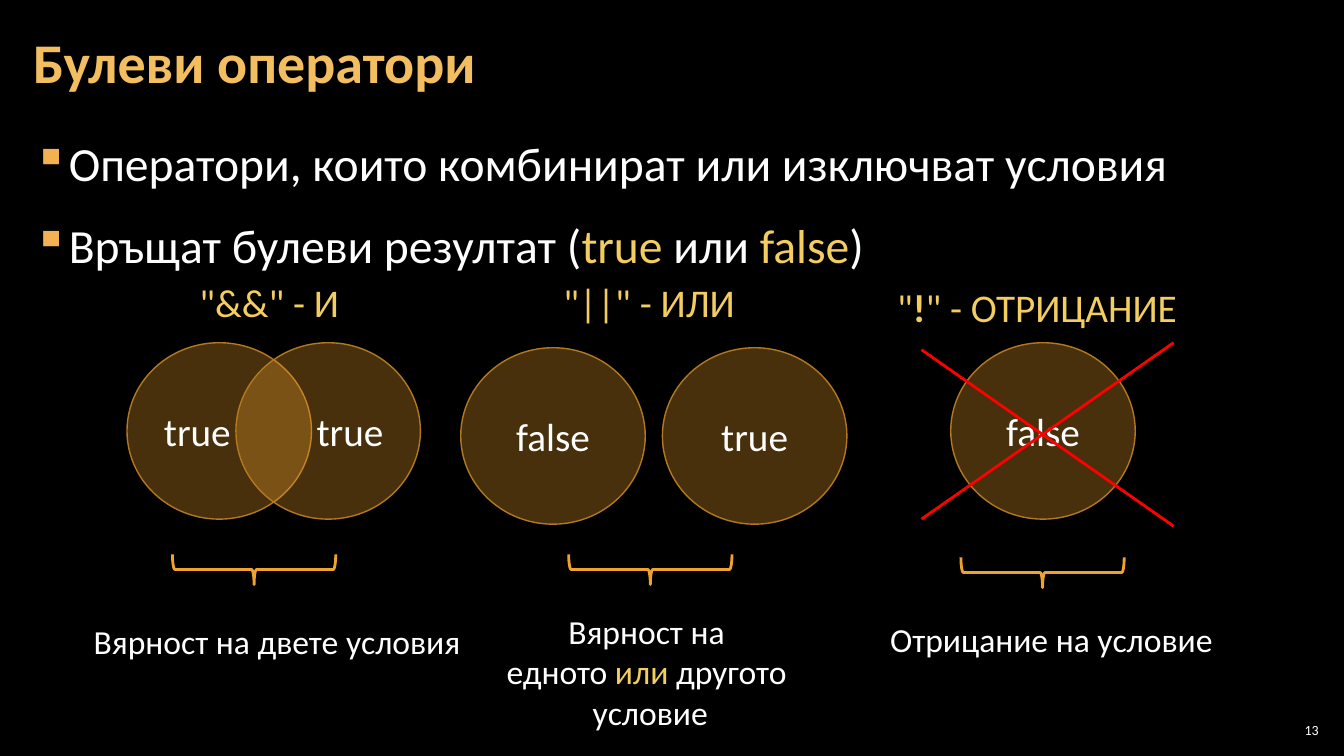
from dataclasses import dataclass

from lxml import etree
from pptx import Presentation
from pptx.dml.color import RGBColor
from pptx.enum.shapes import MSO_CONNECTOR, MSO_SHAPE
from pptx.enum.text import MSO_ANCHOR, MSO_AUTO_SIZE, PP_ALIGN
from pptx.oxml.ns import qn
from pptx.slide import Slide
from pptx.text.text import TextFrame
from pptx.util import Inches, Pt

LEFT, CENTER, RIGHT = PP_ALIGN.LEFT, PP_ALIGN.CENTER, PP_ALIGN.RIGHT
TOP, MIDDLE = MSO_ANCHOR.TOP, MSO_ANCHOR.MIDDLE
FIT = MSO_AUTO_SIZE.SHAPE_TO_FIT_TEXT
OVAL, BRACE = MSO_SHAPE.OVAL, MSO_SHAPE.RIGHT_BRACE
STRAIGHT = MSO_CONNECTOR.STRAIGHT

BLACK = RGBColor(0x00, 0x00, 0x00)
WHITE = RGBColor(0xFF, 0xFF, 0xFF)
RED = RGBColor(0xFF, 0x00, 0x00)
TITLE_GOLD = RGBColor(0xF3, 0xBE, 0x60)
YELLOW = RGBColor(0xF3, 0xCD, 0x60)
ORANGE = RGBColor(0xF0, 0xA2, 0x2E)
BROWN = RGBColor(0xB2, 0x78, 0x22)
BULLET_COLOR = "F2B254"

FONT = "Calibri"
CIRCLE_WIDTH, CIRCLE_HEIGHT = 1.83, 1.75
BRACE_WIDTH, BRACE_HEIGHT = 0.3, 1.62


@dataclass(frozen=True)
class Span:
    text: str
    color: RGBColor = WHITE
    bold: bool = False


Lines = list[list[Span]]


@dataclass(frozen=True)
class Label:
    left: float
    top: float
    width: float
    height: float
    size: int
    lines: Lines
    align: PP_ALIGN = LEFT


@dataclass(frozen=True)
class Circle:
    left: float
    top: float
    word: str
    align: PP_ALIGN = CENTER


@dataclass(frozen=True)
class Place:
    left: float
    top: float


@dataclass(frozen=True)
class Stroke:
    start_y: float
    end_y: float


BULLETS: Lines = [
    [Span("Оператори, които комбинират или изключват условия")],
    [Span("Връщат булеви резултат ("), Span("true", YELLOW), Span(" или "),
     Span("false", YELLOW), Span(")")],
]
CIRCLES = [
    Circle(1.26, 3.4, "true", LEFT),
    Circle(2.34, 3.4, "true", RIGHT),
    Circle(4.57, 3.45, "false"),
    Circle(6.57, 3.45, "true"),
    Circle(9.43, 3.4, "false"),
]
LABELS = [
    Label(1.88, 2.71, 1.61, 0.57, 28, [[Span('"&&" - И', YELLOW)]]),
    Label(5.49, 2.71, 1.92, 0.57, 28, [[Span('"||" - ИЛИ', YELLOW)]]),
    Label(8.8, 2.76, 3.1, 0.57, 28,
          [[Span('"', YELLOW), Span("!", YELLOW, True), Span('" - ОТРИЦАНИЕ', YELLOW)]]),
    Label(0.83, 6.11, 3.87, 0.5, 24, [[Span("Вярност на двете условия")]]),
    Label(4.91, 6.01, 3.08, 1.31, 24,
          [[Span("Вярност на ")],
           [Span("едното "), Span("или", YELLOW), Span(" другото ")],
           [Span("условие")]], CENTER),
    Label(8.73, 6.09, 3.44, 0.5, 24, [[Span("Отрицание на условие")]]),
]
BRACES = [Place(2.37, 4.84), Place(6.3, 4.84), Place(10.19, 4.87)]
CROSS_RIGHT, CROSS_LEFT = 11.64, 9.14
CROSS = [Stroke(3.4, 5.15), Stroke(5.22, 3.47)]


def write(frame: TextFrame, lines: Lines, size: int, align: PP_ALIGN = LEFT) -> None:
    for index, line in enumerate(lines):
        para = frame.add_paragraph() if index else frame.paragraphs[0]
        para.alignment = align
        for span in line:
            run = para.add_run()
            run.text = span.text
            run.font.name = FONT
            run.font.size = Pt(size)
            run.font.bold = span.bold
            run.font.color.rgb = span.color


def add_frame(page: Slide, left: float, top: float, width: float, height: float,
              side: float, anchor: MSO_ANCHOR = TOP) -> TextFrame:
    box = page.shapes.add_textbox(Inches(left), Inches(top), Inches(width), Inches(height))
    frame = box.text_frame
    frame.word_wrap = True
    frame.vertical_anchor = anchor
    frame.margin_left = frame.margin_right = Inches(side)
    frame.margin_top = frame.margin_bottom = Inches(0.04)
    return frame


def add_bullets(frame: TextFrame) -> None:
    for para in frame.paragraphs:
        para.line_spacing = 1.15
        para.space_before = para.space_after = Pt(6)
        props = para._p.get_or_add_pPr()
        props.set("marL", str(Inches(0.33)))
        props.set("indent", str(Inches(-0.33)))
        color = etree.SubElement(props, qn("a:buClr"))
        etree.SubElement(color, qn("a:srgbClr"), val=BULLET_COLOR)
        etree.SubElement(props, qn("a:buChar"), char="▪")


def add_label(page: Slide, label: Label) -> None:
    box = page.shapes.add_textbox(Inches(label.left), Inches(label.top),
                                  Inches(label.width), Inches(label.height))
    box.text_frame.word_wrap = False
    box.text_frame.auto_size = FIT
    write(box.text_frame, label.lines, label.size, label.align)


def add_circle(page: Slide, circle: Circle) -> None:
    oval = page.shapes.add_shape(OVAL, Inches(circle.left), Inches(circle.top),
                                 Inches(CIRCLE_WIDTH), Inches(CIRCLE_HEIGHT))
    oval.shadow.inherit = False
    oval.fill.solid()
    oval.fill.fore_color.rgb = ORANGE
    tint = oval._element.spPr.find(qn("a:solidFill")).find(qn("a:srgbClr"))
    etree.SubElement(tint, qn("a:alpha"), val="30000")
    oval.line.color.rgb = BROWN
    oval.line.width = Pt(1)
    oval.text_frame.vertical_anchor = MIDDLE
    write(oval.text_frame, [[Span(circle.word)]], 28, circle.align)


def add_brace(page: Slide, place: Place) -> None:
    brace = page.shapes.add_shape(BRACE, Inches(place.left), Inches(place.top),
                                  Inches(BRACE_WIDTH), Inches(BRACE_HEIGHT))
    brace.rotation = 90
    brace.shadow.inherit = False
    brace.fill.background()
    brace.line.color.rgb = ORANGE
    brace.line.width = Pt(2)


def add_stroke(page: Slide, stroke: Stroke) -> None:
    line = page.shapes.add_connector(STRAIGHT, Inches(CROSS_RIGHT), Inches(stroke.start_y),
                                     Inches(CROSS_LEFT), Inches(stroke.end_y))
    line.line.color.rgb = RED
    line.line.width = Pt(2)
    etree.SubElement(line._element.spPr, qn("a:effectLst"))


def main() -> None:
    deck = Presentation()
    deck.slide_width, deck.slide_height = Inches(13.33), Inches(7.5)
    page = deck.slides.add_slide(deck.slide_layouts[6])
    page.background.fill.solid()
    page.background.fill.fore_color.rgb = BLACK

    number = add_frame(page, 12.65, 7.14, 0.47, 0.21, 0.04, MIDDLE)
    write(number, [[Span("13")]], 10, RIGHT)
    body = add_frame(page, 0.21, 1.2, 12.91, 6.09, 0.12)
    write(body, BULLETS, 34)
    add_bullets(body)
    title = add_frame(page, 0.21, 0.04, 10.47, 1.21, 0.12, MIDDLE)
    write(title, [[Span("Булеви оператори", TITLE_GOLD, True)]], 40)
    title.paragraphs[0].line_spacing = 0.9

    for circle in CIRCLES:
        add_circle(page, circle)
    for label in LABELS:
        add_label(page, label)
    for place in BRACES:
        add_brace(page, place)
    for stroke in CROSS:
        add_stroke(page, stroke)
    deck.save("out.pptx")


if __name__ == "__main__":
    main()
